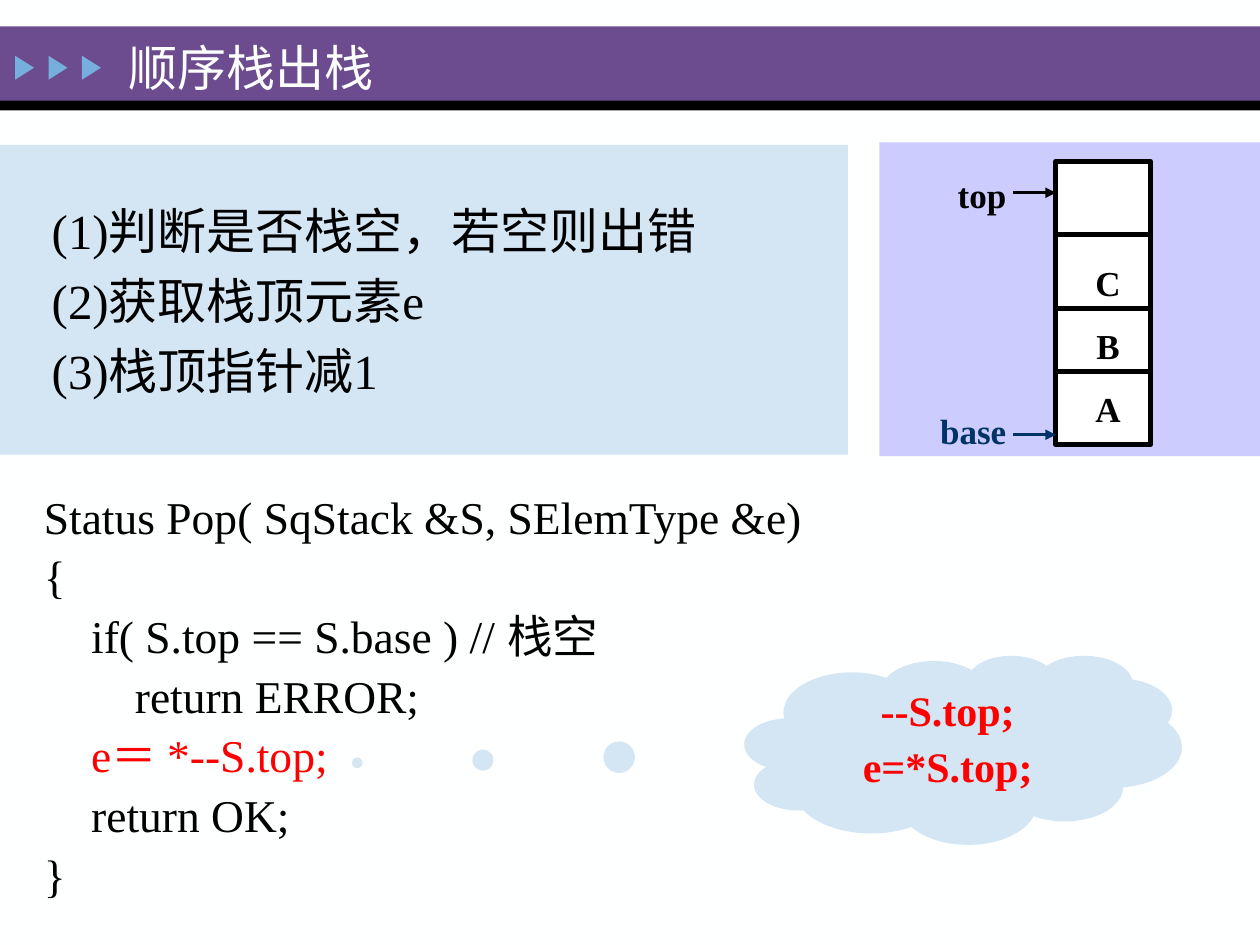
"""Build the slide on popping an element from a sequential stack."""
from lxml import etree
from pptx import Presentation
from pptx.dml.color import RGBColor
from pptx.enum import shapes, text
from pptx.oxml import ns
from pptx.util import Pt

FONT = "Times New Roman"
BLACK = RGBColor(0x00, 0x00, 0x00)
WHITE = RGBColor(0xFF, 0xFF, 0xFF)
PAPER = RGBColor(0xFE, 0xFF, 0xFF)
PURPLE = RGBColor(0x6C, 0x4C, 0x8F)
SKY = RGBColor(0x76, 0xAE, 0xDD)
PALE_BLUE = RGBColor(0xD4, 0xE6, 0xF4)
LAVENDER = RGBColor(0xCC, 0xCC, 0xFF)
NAVY = RGBColor(0x00, 0x33, 0x66)
RED = RGBColor(0xFF, 0x00, 0x00)
RECTANGLE = shapes.MSO_SHAPE.RECTANGLE

STEPS = ["(1)判断是否栈空，若空则出错", "(2)获取栈顶元素e", "(3)栈顶指针减1"]
CODE = [
    "Status Pop( SqStack &S, SElemType &e)",
    "{",
    "\tif( S.top == S.base ) // 栈空",
    "        return ERROR;",
    "\te＝ *--S.top;",
    "\treturn OK;",
    "}",
]
POP_LINE = 4
STACK_LEFT, STACK_TOP, STACK_WIDTH, STACK_HEIGHT = 603.36, 92.16, 54, 162


def add_block(slide, kind, left, top, width, height, fill, line=None):
    """Add a filled preset shape, outlined only when a line colour is given."""
    shape = slide.shapes.add_shape(kind, Pt(left), Pt(top), Pt(width), Pt(height))
    shape.shadow.inherit = False
    shape.fill.solid()
    shape.fill.fore_color.rgb = fill
    if line is None:
        shape.line.fill.background()
    else:
        shape.line.color.rgb = line
        shape.line.width = Pt(3)
    return shape


def add_line(slide, start, end, y, color, width, arrow=False):
    """Add a horizontal line, with an arrowhead at its end on request."""
    line = slide.shapes.add_connector(
        shapes.MSO_CONNECTOR.STRAIGHT, Pt(start), Pt(y), Pt(end), Pt(y))
    line.line.color.rgb = color
    line.line.width = Pt(width)
    if arrow:
        etree.SubElement(line.line._get_or_add_ln(), ns.qn("a:tailEnd"), type="triangle")
    etree.SubElement(line._element.spPr, ns.qn("a:effectLst"))


def add_text_box(slide, left, top, width, height):
    """Add a wrapping text box and return its text frame."""
    frame = slide.shapes.add_textbox(
        Pt(left), Pt(top), Pt(width), Pt(height)).text_frame
    frame.word_wrap = True
    return frame


def format_runs(paragraph, size, color, bold=False):
    """Apply the slide font, size, colour and weight to every run."""
    for run in paragraph.runs:
        run.font.name = FONT
        run.font.size = Pt(size)
        run.font.color.rgb = color
        run.font.bold = bold


def write_lines(frame, lines, size, color, hanging, before, spacing=1.0,
                bold=False, align=text.PP_ALIGN.LEFT):
    """Write one paragraph per line with a shared hanging indent."""
    frame.text = "\n".join(lines)
    for index, paragraph in enumerate(frame.paragraphs):
        properties = paragraph._p.get_or_add_pPr()
        properties.set("marL", str(Pt(hanging[0])))
        properties.set("indent", str(Pt(hanging[1])))
        paragraph.alignment = align
        paragraph.line_spacing = spacing
        paragraph.space_before = Pt(before if index else 0)
        format_runs(paragraph, size, color, bold)


def add_label(slide, left, top, width, label, color=BLACK):
    """Add a centred bold label for the stack diagram."""
    frame = add_text_box(slide, left, top, width, 31)
    write_lines(frame, [label], 20, color, (0, 0), 0, bold=True,
                align=text.PP_ALIGN.CENTER)


def add_header(slide):
    """Draw the title band with its markers and place the title on it."""
    add_block(slide, RECTANGLE, 0, 15.12, 720, 42.5, PURPLE)
    add_block(slide, RECTANGLE, 0, 57.5, 720, 5.6, BLACK)
    for index in range(3):
        marker = add_block(slide, shapes.MSO_SHAPE.ISOSCELES_TRIANGLE,
                           7.2 + 19.1 * index, 33.3, 13.7, 10.8, SKY)
        marker.rotation = 90
    title = slide.shapes.title
    title.left, title.top, title.width, title.height = Pt(66.24), Pt(20.16), Pt(504), Pt(36)
    frame = title.text_frame
    frame.text = "顺序栈出栈"
    frame.vertical_anchor = text.MSO_ANCHOR.MIDDLE
    frame.paragraphs[0].alignment = text.PP_ALIGN.LEFT
    format_runs(frame.paragraphs[0], 28, PAPER)
    slide.shapes._spTree.append(title._element)


def add_steps(slide):
    """Draw the panel listing the steps of the algorithm."""
    panel = add_block(slide, RECTANGLE, 0, 82.8, 484.56, 177.1, PALE_BLUE)
    panel.text_frame.vertical_anchor = text.MSO_ANCHOR.MIDDLE
    write_lines(panel.text_frame, STEPS, 28, BLACK, (70.5, -48), 6.5)


def add_code(slide):
    """Write the function with its pop statement highlighted."""
    frame = add_text_box(slide, 18, 279.36, 680.4, 230.4)
    write_lines(frame, CODE, 26, BLACK, (27, -27), 6, 0.9)
    format_runs(frame.paragraphs[POP_LINE], 26, RED)


def add_cloud(slide):
    """Add the thought cloud that expands the pop statement."""
    cloud = add_block(slide, shapes.MSO_SHAPE.CLOUD_CALLOUT,
                      425.52, 374.4, 249.84, 108, PALE_BLUE)
    cloud.adjustments[0], cloud.adjustments[1] = -1.386, 0.07
    cloud.text_frame.vertical_anchor = text.MSO_ANCHOR.TOP
    write_lines(cloud.text_frame, ["--S.top;", "e=*S.top;"], 24, RED, (27, -27),
                6, 0.9, bold=True, align=text.PP_ALIGN.CENTER)


def add_stack(slide):
    """Draw the stack cells, their elements and the two pointers."""
    add_block(slide, RECTANGLE, 502.56, 81.4, 217.44, 179.3, LAVENDER)
    add_block(slide, RECTANGLE, STACK_LEFT, STACK_TOP, STACK_WIDTH, STACK_HEIGHT,
              WHITE, BLACK)
    for y in (133.92, 176.4, 212.4):
        add_line(slide, STACK_LEFT, STACK_LEFT + STACK_WIDTH, y, BLACK, 3)
    for index, element in enumerate("CBA"):
        add_label(slide, 609.12, 146.16 + 36 * index, 48.24, element)
    pointers = [("top", 513.36, 95.76, 110.16, BLACK),
                ("base", 508.32, 230.4, 248.4, NAVY)]
    for name, left, top, arrow_y, color in pointers:
        add_label(slide, left, top, 95.76, name, color)
        add_line(slide, 578.88, STACK_LEFT, arrow_y, color, 1.5, arrow=True)


def main():
    """Assemble the slide and save the presentation."""
    presentation = Presentation()
    presentation.slide_width, presentation.slide_height = Pt(720), Pt(540)
    slide = presentation.slides.add_slide(presentation.slide_layouts[5])
    slide.background.fill.solid()
    slide.background.fill.fore_color.rgb = PAPER
    add_header(slide)
    add_steps(slide)
    add_code(slide)
    add_cloud(slide)
    add_stack(slide)
    presentation.save("out.pptx")


if __name__ == "__main__":
    main()
